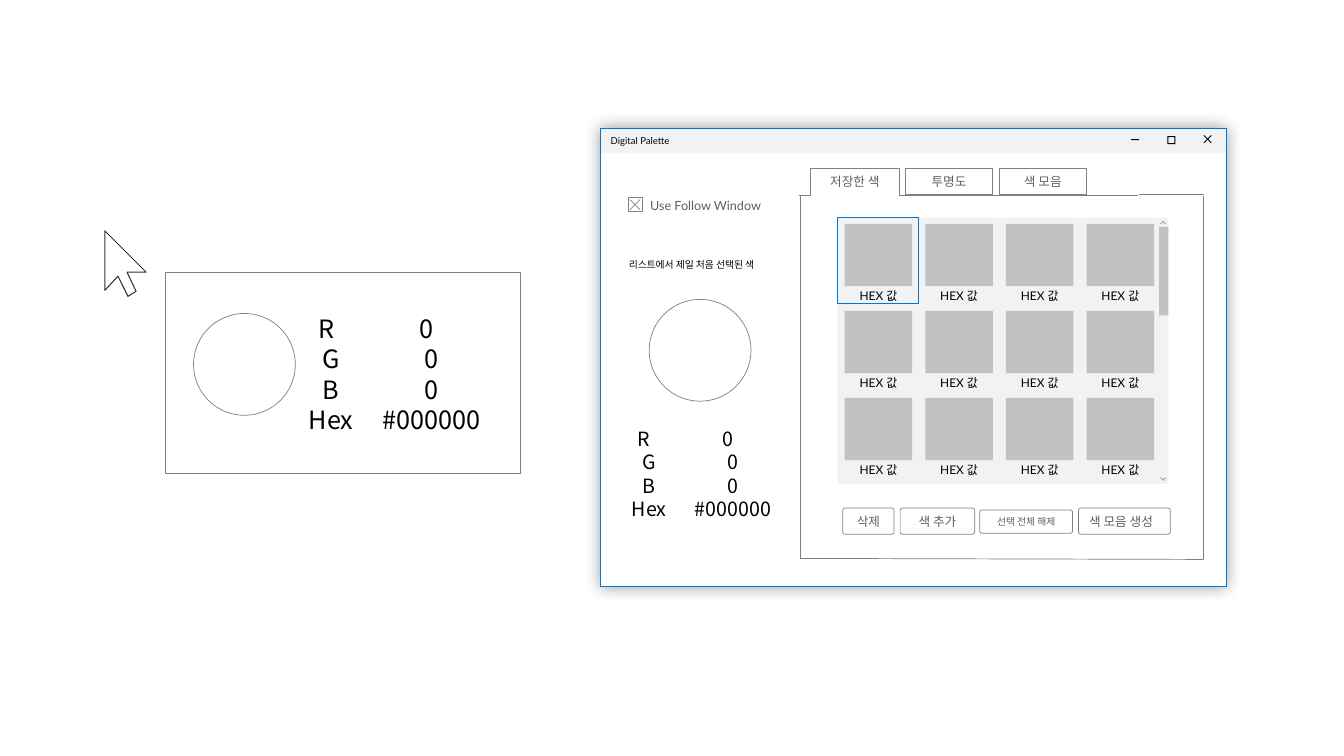
import pptx
import pptx.util
import pptx.dml.color
import pptx.enum.shapes
import pptx.enum.text
import pptx.oxml
import pptx.oxml.ns

COLORS = {
    "white": "FFFFFF", "black": "000000", "cursor": "333333", "outline": "808080",
    "accent": "0078D7", "panel": "F2F2F2", "swatch": "C2C2C2", "chevron": "999999",
    "label": "5F5F5F",
}
UI_FONT = "Lato"
VALUE_FONT = "Noto Sans CJK KR"
CELL = pptx.util.Inches(0.1)  # grid cell; lengths below are columns and rows
COLUMNS, ROWS = 133.33, 75
SHAPE = pptx.enum.shapes.MSO_SHAPE
ALIGN = pptx.enum.text.PP_ALIGN
MIDDLE = pptx.enum.text.MSO_ANCHOR.MIDDLE


def emu(*cells):
    return [round(cell * CELL) for cell in cells]


def rgb(color):
    return pptx.dml.color.RGBColor.from_string(COLORS[color])


def paint(shape, fill=None, line=None, width=0.5):
    shape.shadow.inherit = False
    if fill:
        shape.fill.solid()
        shape.fill.fore_color.rgb = rgb(fill)
    else:
        shape.fill.background()
    if line:
        shape.line.color.rgb = rgb(line)
        shape.line.width = pptx.util.Pt(width)
    else:
        shape.line.fill.background()
    return shape


def block(slide, at, fill=None, line=None, width=0.5, kind=SHAPE.RECTANGLE):
    return paint(slide.shapes.add_shape(kind, *emu(*at)), fill, line, width)


def outline(slide, contours, fill=None, line=None, width=0.5, close=True):
    """Freeform made of one or more contours of (column, row) points."""
    first, *others = [[tuple(emu(*point)) for point in contour] for contour in contours]
    builder = slide.shapes.build_freeform(*first[0], scale=1.0)
    builder.add_line_segments(first[1:], close=close)
    for contour in others:
        builder.move_to(*contour[0])
        builder.add_line_segments(contour[1:], close=close)
    return paint(builder.convert_to_shape(), fill, line, width)


def rule(slide, start, end):
    edge = slide.shapes.add_connector(
        pptx.enum.shapes.MSO_CONNECTOR.STRAIGHT, *emu(*start, *end))
    edge.line.color.rgb = rgb("outline")
    edge.line.width = pptx.util.Pt(0.5)
    edge._element.spPr.append(pptx.oxml.parse_xml(
        f"<a:effectLst {pptx.oxml.ns.nsdecls('a')}/>"))


def write(shape, lines, size, color="label", font=UI_FONT, align=ALIGN.CENTER,
          insets=(1, 0.5, 1, 0.5), anchor=MIDDLE, wrap=True):
    frame = shape.text_frame
    frame.word_wrap = wrap
    frame.vertical_anchor = anchor
    (frame.margin_left, frame.margin_top,
     frame.margin_right, frame.margin_bottom) = emu(*insets)
    frame.text = "\n".join(lines)
    for paragraph in frame.paragraphs:
        paragraph.alignment = align
        paragraph.font.name = font
        paragraph.font.size = pptx.util.Pt(size)
        paragraph.font.color.rgb = rgb(color)
        if font == VALUE_FONT:
            paragraph.line_spacing = pptx.util.Pt(1.2 * size)
    return frame


def text(slide, at, lines, size, **style):
    return write(slide.shapes.add_textbox(*emu(*at)), lines, size, **style)


def color_values(slide, row, columns, size):
    """Channel names and their values; the first line sits half a cell further left."""
    for (left, width), lines in zip(columns, (["R", "G", "B", "Hex"],
                                              ["0", "0", "0", "#000000"])):
        frame = text(slide, (left, row, width, 10.4), lines, size, color="black",
                     font=VALUE_FONT, insets=(0, 0.5, 1, 0.5))
        for paragraph in frame.paragraphs[1:]:
            paragraph._p.get_or_add_pPr().set("marL", str(CELL))


def button(slide, at, caption, size=9, align=ALIGN.CENTER):
    shape = block(slide, at, "white", "outline", kind=SHAPE.ROUNDED_RECTANGLE)
    shape.adjustments[0] = 0.09
    write(shape, [caption], size, align=align)


def scroll_chevron(slide, tip, direction):
    """Thin chevron; direction is 1 when the arms go down from the tip, -1 when up."""
    column, row = tip
    arms = [(-0.3, 0.3), (0, 0), (0.3, 0.3), (0.22, 0.34), (0, 0.12), (-0.22, 0.34)]
    outline(slide, [[(column + x, row + direction * y) for x, y in arms]], "chevron")


def follow_window(slide):
    outline(slide, [[(13.5, 28.9), (12.6, 27), (14.5, 27), (10.4, 22.9),
                     (10.4, 28.8), (11.7, 27.4), (12.7, 29.4)]],
            "white", "cursor", 0.75)
    block(slide, (16.4, 27, 35.2, 20), "white", "outline")
    color_values(slide, 31.9, [(29.2, 7.3), (36.8, 12)], 18)
    block(slide, (19.2, 31.1, 10.1, 10.1), line="outline", kind=SHAPE.OVAL)


def window_frame(slide):
    at = (59.6, 12.7, 62.1, 45.5)
    window = block(slide, at, "white", "accent")
    window._element.spPr.find(pptx.oxml.ns.qn("a:effectLst")).append(pptx.oxml.parse_xml(
        f'<a:outerShdw {pptx.oxml.ns.nsdecls("a")} blurRad="{pptx.util.Pt(12)}" dist="0"'
        f' dir="0" algn="ctr" rotWithShape="0"><a:srgbClr val="{COLORS["black"]}">'
        '<a:alpha val="40000"/></a:srgbClr></a:outerShdw>'))
    title_bar = block(slide, (*at[:3], 2.5), "panel")
    write(title_bar, ["Digital Palette"], 6.8, color="black", align=ALIGN.LEFT,
          insets=(1, 0.6, 1, 0.5))
    block(slide, (112.2, 13.8, 0.8, 0.1), "black")
    outline(slide, [[(115.8 + i, 13.5 + i), (115.8 + i, 14.3 - i),
                     (116.6 - i, 14.3 - i), (116.6 - i, 13.5 + i)] for i in (0, 0.1)],
            "black")
    outline(slide, [[(119.46, 13.4), (119.4, 13.46), (119.74, 13.8), (119.4, 14.14),
                     (119.46, 14.2), (119.8, 13.86), (120.14, 14.2), (120.2, 14.14),
                     (119.86, 13.8), (120.2, 13.46), (120.14, 13.4), (119.8, 13.74)]],
            "black")
    block(slide, at, line="accent")


def selected_color(slide):
    block(slide, (62.3, 19.6, 1.4, 1.4), "white", "outline")
    text(slide, (63.7, 19.2, 12.6, 2.3), ["Use Follow Window"], 9, align=ALIGN.LEFT,
         insets=(0.8, 0.4, 0.8, 0.4))
    outline(slide, [[(63.5, 19.8), (62.5, 20.8)], [(62.5, 19.8), (63.5, 20.8)]],
            line="outline", close=False)
    text(slide, (61.4, 25.2, 16.2, 2.2), ["리스트에서 제일 처음 선택된 색"], 7, color="black",
         font=VALUE_FONT, align=ALIGN.LEFT, anchor=pptx.enum.text.MSO_ANCHOR.TOP)
    block(slide, (64.4, 29.7, 10.1, 10.1), line="outline", kind=SHAPE.OVAL)
    color_values(slide, 41.8, [(61.4, 6), (67.7, 10)], 14)


def tab_panel(slide):
    left, right, top, bottom = 79.4, 119.4, 19.4, 55.5
    for start, end in [((113, 19.3), (right, 19.3)),
                       ((left, top), (left, bottom)),
                       ((right, top), (right, bottom)),
                       ((right, bottom), (left, 55.4)),
                       ((80.4, top), (79.3, top)),
                       ((89.2, top), (112.9, top))]:
        rule(slide, start, end)
    open_tab = outline(slide, [[(80.4, top), (80.4, 16.7), (89.2, 16.7), (89.2, top)]],
                       "white", "outline", close=False)
    closed_tabs = [block(slide, (89.8 + 9.3 * i, 16.7, 8.7, 2.6), "white", "outline")
                   for i in range(2)]
    for tab, caption in zip([open_tab, *closed_tabs], ["저장한 색", "투명도", "색 모음"]):
        write(tab, [caption], 9, insets=(0.5,) * 4)


def swatch_list(slide):
    block(slide, (83.1, 21.6, 32, 26.4), "panel")
    block(slide, (115, 21.6, 0.9, 26.4), "panel")
    block(slide, (115, 22.5, 0.9, 8.8), "swatch")
    scroll_chevron(slide, (115.4, 21.9), 1)
    scroll_chevron(slide, (115.4, 47.7), -1)
    for row in range(3):
        for column in range(4):
            left, top = 83.8 + 8 * column, 22.2 + 8.63 * row
            block(slide, (left, top, 6.7, 6.2), "swatch")
            label = text(slide, (left, top + 6.15, 6.7, 1.8), ["HEX 값"], 8.5,
                         color="black", insets=(0.6, 0.1, 0.6, 0.1)).paragraphs[0]
            label.line_spacing = 1.1
            label.space_before = label.space_after = pptx.util.Pt(3)
    block(slide, (83.1, 21.6, 8, 8.5), line="accent", width=1)


def list_buttons(slide):
    button(slide, (97.2, 50.6, 9.2, 2.3), "선택 전체 해제", 7)
    button(slide, (107, 50.4, 9.1, 2.6), "색 모음 생성", align=ALIGN.LEFT)
    button(slide, (83.6, 50.4, 5.1, 2.6), "삭제")
    button(slide, (89.3, 50.4, 7.4, 2.6), "색 추가")


def main():
    deck = pptx.Presentation()
    deck.slide_width, deck.slide_height = emu(COLUMNS, ROWS)
    slide = deck.slides.add_slide(deck.slide_layouts[6])
    follow_window(slide)
    window_frame(slide)
    selected_color(slide)
    tab_panel(slide)
    swatch_list(slide)
    list_buttons(slide)
    deck.save("out.pptx")


if __name__ == "__main__":
    main()
